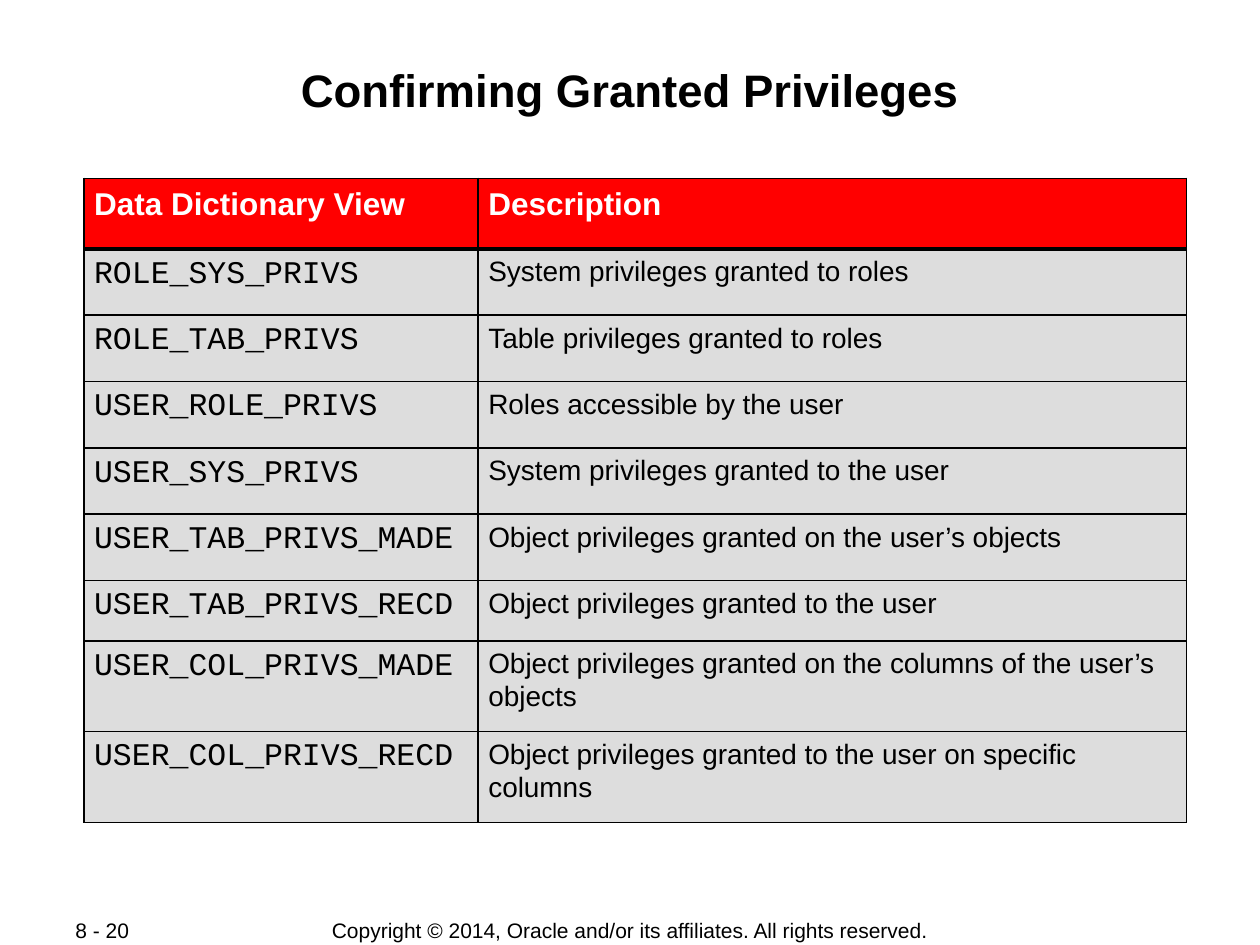
from dataclasses import dataclass

from lxml.etree import SubElement
from pptx import Presentation
from pptx.dml.color import RGBColor
from pptx.enum.text import MSO_ANCHOR, PP_ALIGN
from pptx.oxml.ns import qn
from pptx.util import Inches, Pt


@dataclass(frozen=True)
class Theme:
    ink: str = "000000"
    header_ink: str = "FFFFFF"
    header_fill: str = "FF0000"
    body_fill: str = "DDDDDD"
    sans: str = "Arial"
    mono: str = "Courier New"
    title_size: int = 26
    label_size: int = 18
    body_size: int = 16
    footer_size: int = 12
    rule: float = 1.08
    heavy_rule: float = 2.21


@dataclass(frozen=True)
class Box:
    column: float
    row: float
    columns: float
    rows: float

    def lengths(self):
        return [grid(value) for value in (self.column, self.row, self.columns, self.rows)]


THEME = Theme()
UNITS_PER_INCH = 12
SLIDE = Box(0, 0, 120, 90)
TITLE = Box(8, 5.75, 104, 11.5)
TABLE = Box(8, 17, 105, 61.35)
PAGE_NUMBER = Box(6, 87.4, 12.7, 2.4)
COPYRIGHT = Box(31, 87.4, 58, 2.4)

COLUMN_UNITS = [37.55, 67.45]
ROW_UNITS = [6.7] + [6.32] * 5 + [5.75] + [8.65] * 2
HEADINGS = ("Data Dictionary View", "Description")
VIEWS = [
    ("ROLE_SYS_PRIVS", "System privileges granted to roles"),
    ("ROLE_TAB_PRIVS", "Table privileges granted to roles"),
    ("USER_ROLE_PRIVS", "Roles accessible by the user"),
    ("USER_SYS_PRIVS", "System privileges granted to the user"),
    ("USER_TAB_PRIVS_MADE", "Object privileges granted on the user’s objects"),
    ("USER_TAB_PRIVS_RECD", "Object privileges granted to the user"),
    ("USER_COL_PRIVS_MADE", "Object privileges granted on the columns of the user’s objects"),
    ("USER_COL_PRIVS_RECD", "Object privileges granted to the user on specific columns"),
]


def grid(units):
    return Inches(units / UNITS_PER_INCH)


def write(frame, text, *, size, font=THEME.sans, color=THEME.ink, bold=False,
          align=PP_ALIGN.LEFT, spacing=None):
    para = frame.paragraphs[0]
    para.alignment = align
    para.line_spacing = spacing
    span = para.add_run()
    span.text = text
    span.font.size = Pt(size)
    span.font.name = font
    span.font.bold = bold
    span.font.color.rgb = RGBColor.from_string(color)


def set_margins(holder, side, edge):
    holder.margin_left = holder.margin_right = Inches(side)
    holder.margin_top = holder.margin_bottom = Inches(edge)


def add_frame(page, box, *, anchor, side, edge):
    frame = page.shapes.add_textbox(*box.lengths()).text_frame
    frame.word_wrap = True
    frame.vertical_anchor = anchor
    set_margins(frame, side, edge)
    return frame


def add_title(page, box):
    frame = add_frame(page, box, anchor=MSO_ANCHOR.TOP, side=0.01, edge=0.01)
    write(frame, "Confirming Granted Privileges", size=THEME.title_size,
          bold=True, align=PP_ALIGN.CENTER)


def add_footer(page, number_box, copyright_box):
    number = add_frame(page, number_box, anchor=MSO_ANCHOR.MIDDLE, side=0.1, edge=0)
    write(number, "8 - 20", size=THEME.footer_size)
    notice = add_frame(page, copyright_box, anchor=MSO_ANCHOR.MIDDLE, side=0, edge=0)
    write(notice, "Copyright © 2014, Oracle and/or its affiliates. All rights reserved.",
          size=THEME.footer_size, align=PP_ALIGN.CENTER)


def set_borders(cell, widths):
    properties = cell._tc.get_or_add_tcPr()
    for position, (side, width) in enumerate(widths.items()):
        line = SubElement(properties, qn(f"a:{side}"), w=str(Pt(width)))
        fill = SubElement(line, qn("a:solidFill"))
        SubElement(fill, qn("a:srgbClr"), val=THEME.ink)
        properties.insert(position, line)


def fill_cell(cell, text, *, fill, top_rule, bottom_rule, **text_format):
    set_margins(cell, 0.08, 0.05)
    cell.vertical_anchor = MSO_ANCHOR.TOP
    cell.fill.solid()
    cell.fill.fore_color.rgb = RGBColor.from_string(fill)
    set_borders(cell, {"lnL": THEME.rule, "lnR": THEME.rule,
                       "lnT": top_rule, "lnB": bottom_rule})
    write(cell.text_frame, text, spacing=1.05, **text_format)


def add_view_table(page, box):
    records = [HEADINGS] + VIEWS
    table = page.shapes.add_table(len(records), len(HEADINGS), *box.lengths()).table
    table.horz_banding = False
    for column, units in zip(table.columns, COLUMN_UNITS):
        column.width = grid(units)
    for row, units in zip(table.rows, ROW_UNITS):
        row.height = grid(units)

    heading = dict(size=THEME.label_size, color=THEME.header_ink, bold=True)
    view_name = dict(size=THEME.label_size, font=THEME.mono)
    description = dict(size=THEME.body_size)
    for index, record in enumerate(records):
        formats = (view_name, description) if index else (heading, heading)
        for column, (text, text_format) in enumerate(zip(record, formats)):
            fill_cell(table.cell(index, column), text,
                      fill=THEME.body_fill if index else THEME.header_fill,
                      top_rule=THEME.heavy_rule if index == 1 else THEME.rule,
                      bottom_rule=THEME.rule if index else THEME.heavy_rule,
                      **text_format)


def main():
    deck = Presentation()
    deck.slide_width = grid(SLIDE.columns)
    deck.slide_height = grid(SLIDE.rows)
    page = deck.slides.add_slide(deck.slide_layouts[6])
    add_footer(page, PAGE_NUMBER, COPYRIGHT)
    add_title(page, TITLE)
    add_view_table(page, TABLE)
    deck.save("out.pptx")


if __name__ == "__main__":
    main()
